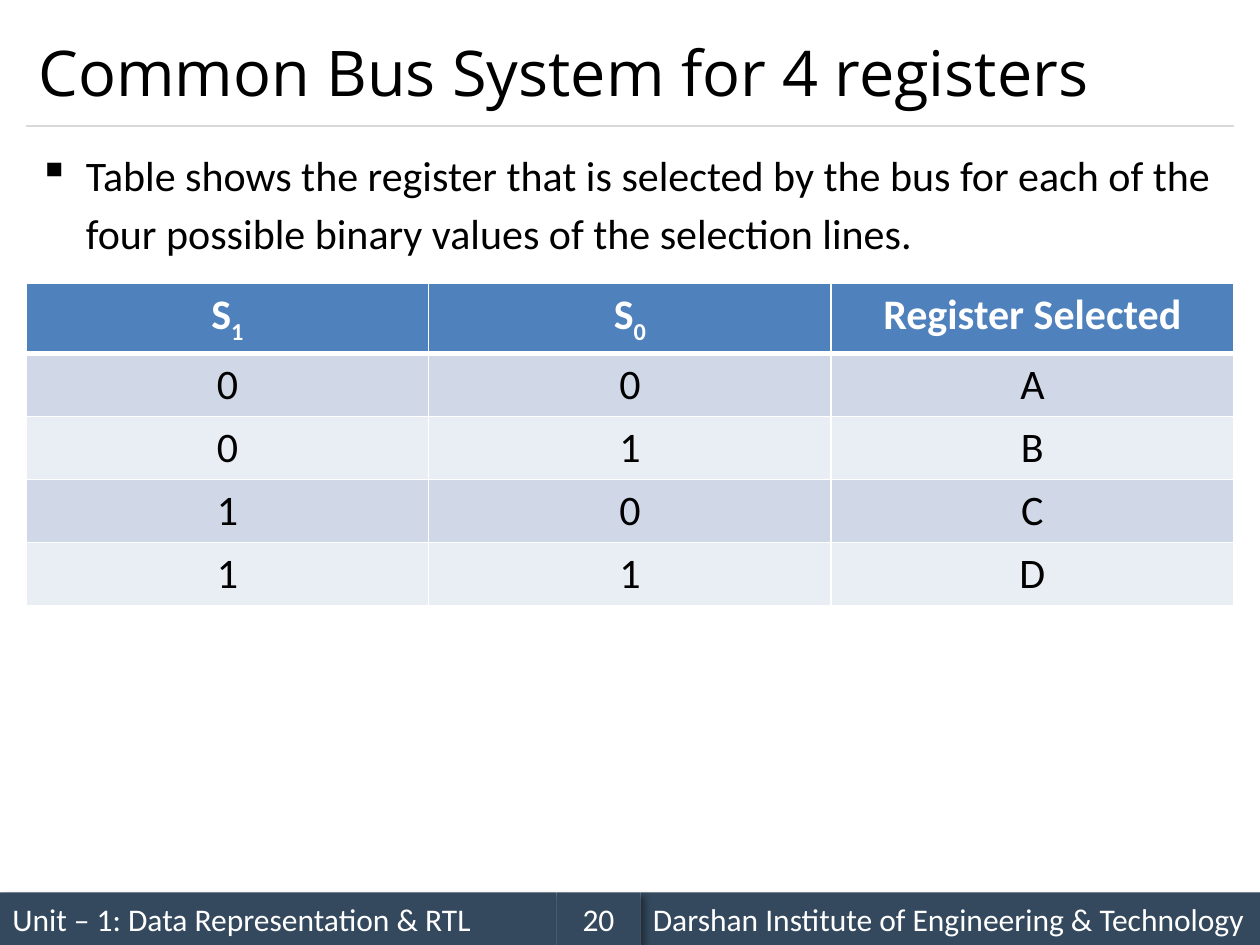
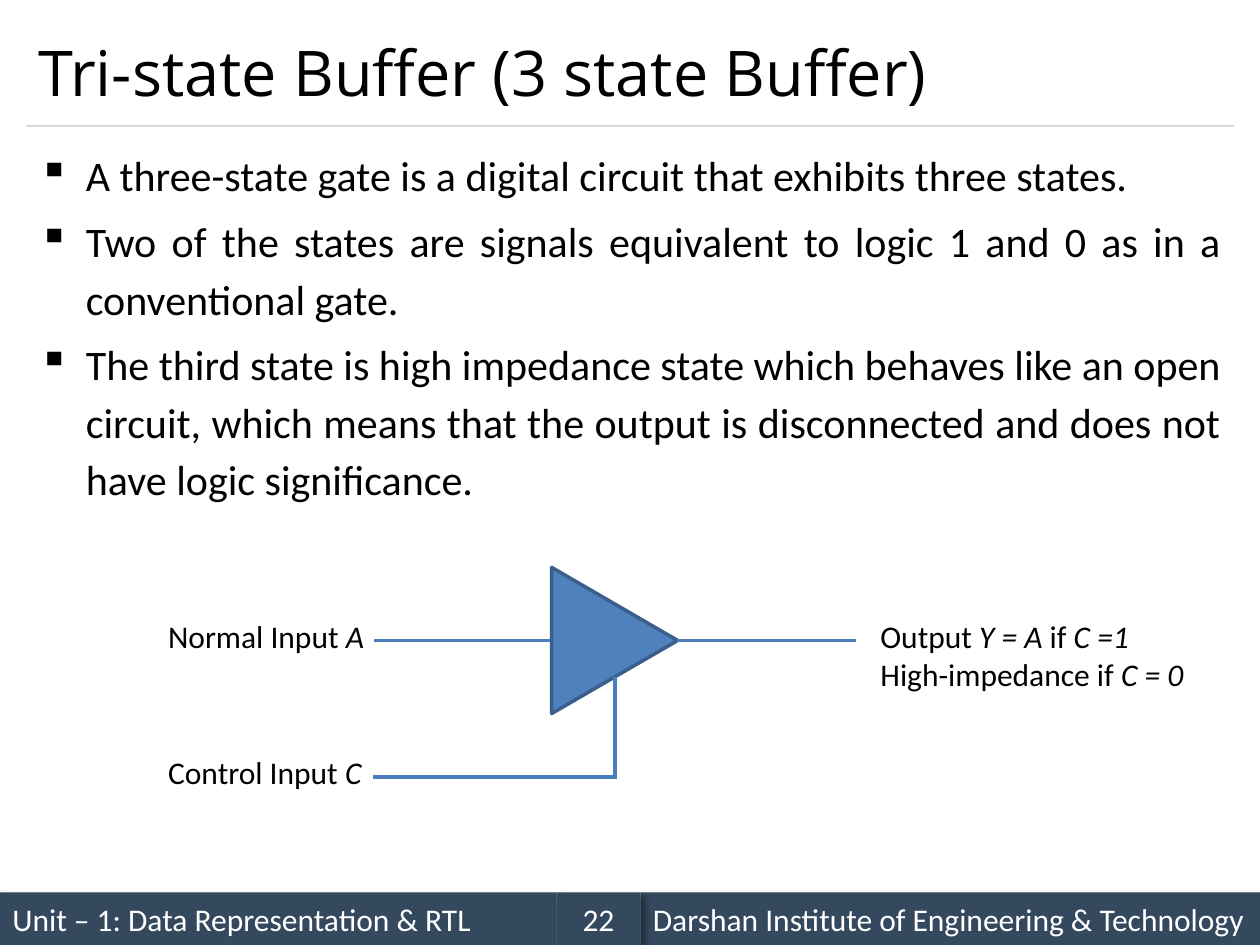
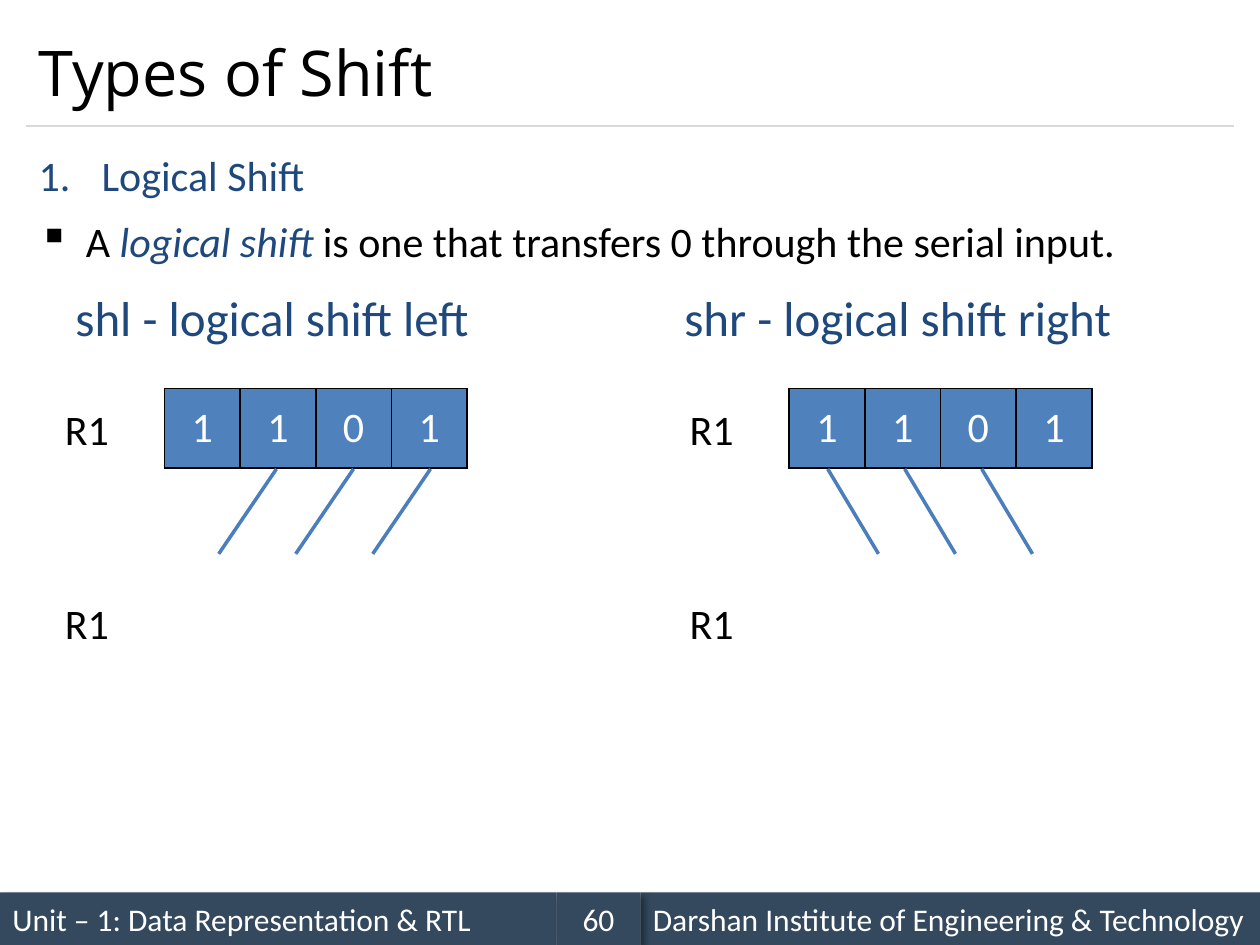
from pptx import Presentation
from pptx.dml.color import RGBColor
from pptx.enum.shapes import MSO_CONNECTOR, MSO_SHAPE
from pptx.enum.text import MSO_ANCHOR, PP_ALIGN
from pptx.oxml.ns import qn
from pptx.util import Pt
from lxml import etree

LEFT, MID, JUST = PP_ALIGN.LEFT, PP_ALIGN.CENTER, PP_ALIGN.JUSTIFY
TOP, CENTRE = MSO_ANCHOR.TOP, MSO_ANCHOR.MIDDLE
RECT, WEDGE = MSO_SHAPE.RECTANGLE, MSO_SHAPE.ISOSCELES_TRIANGLE
STRAIGHT = MSO_CONNECTOR.STRAIGHT

HEX = {
    "white": "FFFFFF", "black": "000000", "navy": "1F497D",
    "slate": "34495E", "rule": "D9D9D9", "blue": "4F81BD",
    "edge": "3A5F8C", "wire": "4B7EBC", "dark": "D0D8E8", "pale": "E9EDF4",
}
EDGE, WIDE = 15, 690  # left edge and width of the content


# Basic helpers
def tint(name):
    return RGBColor.from_string(HEX[name])


def style(item, **values):
    for key, value in values.items():
        setattr(item, key, value)


def child(node, tag, **attrs):
    return etree.SubElement(node, qn(tag), {k: str(v) for k, v in attrs.items()})


def paint(item, name):
    item.fill.solid()
    item.fill.fore_color.rgb = tint(name)


def write(par, parts, size, color="black", face="Calibri", bold=False):
    """Add runs; a part is text or (text, format values)."""
    for part in [parts] if isinstance(parts, str) else parts:
        text, extra = (part, {}) if isinstance(part, str) else part
        extra = dict(extra)
        shade = extra.pop("color", color)
        base = extra.pop("base", 0)
        run = par.add_run()
        run.text = text
        style(run.font, name=face, size=Pt(size), bold=bold, **extra)
        run.font.color.rgb = tint(shade)
        if base:
            run.font._element.set("baseline", str(base * 1000))


# Kinds of element
def box(slide, x, y, w, h, lines, size, color="black", face="Calibri",
        anchor=TOP, wrap=False):
    frame = slide.shapes.add_textbox(Pt(x), Pt(y), Pt(w), Pt(h)).text_frame
    style(frame, word_wrap=wrap, vertical_anchor=anchor)
    for i, line in enumerate(lines):
        par = frame.add_paragraph() if i else frame.paragraphs[0]
        write(par, line, size, color, face)


def wire(slide, x1, y1, x2, y2, color="wire", width=2):
    line = slide.shapes.add_connector(STRAIGHT, Pt(x1), Pt(y1), Pt(x2), Pt(y2))
    line.line.color.rgb = tint(color)
    line.line.width = Pt(width)
    child(line._element.spPr, "a:effectLst")


def band(slide, x, w, text, align=LEFT):
    shape = slide.shapes.add_shape(RECT, Pt(x), Pt(510), Pt(w), Pt(30))
    paint(shape, "slate")
    shape.line.fill.background()
    effects = child(shape._element.spPr, "a:effectLst")
    shadow = child(effects, "a:outerShdw", blurRad=Pt(4), dist=Pt(3),
                   dir=45 * 60000, algn="tl", rotWithShape=0)
    child(child(shadow, "a:srgbClr", val=HEX["black"]), "a:alpha", val=40000)
    style(shape.text_frame, word_wrap=True, vertical_anchor=CENTRE)
    par = shape.text_frame.paragraphs[0]
    par.alignment = align
    write(par, text, 18, "white")


def body(slide, height, items, align=JUST):
    """Add a list; an item is (parts, numbered, colour)."""
    frame = slide.shapes.add_textbox(
        Pt(EDGE), Pt(78), Pt(WIDE), Pt(height)).text_frame
    frame.word_wrap = True
    for i, (parts, numbered, color) in enumerate(items):
        par = frame.add_paragraph() if i else frame.paragraphs[0]
        style(par, alignment=align, line_spacing=1.14,
              space_before=Pt(4.8 if i else 0))
        props = par._p.get_or_add_pPr()
        indent = Pt(36 if numbered else 27)
        props.set("marL", str(indent))
        props.set("indent", str(-indent))
        if numbered:
            child(props, "a:buAutoNum", type="arabicPeriod")
        else:
            child(props, "a:buChar", char="▪")
        write(par, parts, 24, color)


def border(cell, color, **widths):
    props = cell._tc.get_or_add_tcPr()
    for side in "LRTB":
        line = child(props, "a:ln" + side, w=Pt(widths.get(side, 1)))
        child(child(line, "a:solidFill"), "a:srgbClr", val=HEX[color])


def grid(slide, x, y, w, h, rows):
    table = slide.shapes.add_table(
        len(rows), len(rows[0]), Pt(x), Pt(y), Pt(w), Pt(h)).table
    style(table, first_row=False, horz_banding=False)
    return table


def fill(cell, parts, back, color, anchor=TOP, bold=False):
    paint(cell, back)
    cell.vertical_anchor = anchor
    par = cell.text_frame.paragraphs[0]
    par.alignment = MID
    write(par, parts, 24, color, bold=bold)


def truth(slide, rows):
    """Add a table with a bold header and banded rows."""
    table = grid(slide, EDGE, 162, WIDE, 36 * len(rows), rows)
    for r, row in enumerate(rows):
        back = ("dark", "pale")[(r - 1) % 2] if r else "blue"
        for c, parts in enumerate(row):
            cell = table.cell(r, c)
            border(cell, "white", T=3 if r == 1 else 1, B=1 if r else 3)
            fill(cell, parts, back, "black" if r else "white", bold=not r)


def shift(slide, x, head, inset, bits, start, run):
    """Add a register, its labels and the shift lines below it."""
    table = grid(slide, x, 222, 173, 45.5, [bits])
    for c, bit in enumerate(bits):
        cell = table.cell(0, c)
        border(cell, "black")
        fill(cell, bit, "blue", "white", CENTRE)
    for y in (227, 338):
        box(slide, x - 64, y, 40, 36, ["R1"], 24)
    for i in range(len(bits) - 1):
        left = x + start + 44 * i
        wire(slide, left, 268, left + run, 316.5)
    box(slide, x - inset, 161, 243 if run < 0 else 261, 41, [head], 28, "navy")


def page(deck, title, number):
    """Add a slide with title, rule and footer bands."""
    slide = deck.slides.add_slide(deck.slide_layouts[6])
    band(slide, 0, 318, "Unit – 1: Data Representation & RTL")
    wire(slide, EDGE, 72, EDGE + WIDE, 72, "rule", 0.75)
    band(slide, 366, 354, "Darshan Institute of Engineering & Technology")
    band(slide, 318, 48, number, MID)
    box(slide, EDGE, 9, WIDE, 63, [title], 36, face="Open Sans",
        anchor=CENTRE, wrap=True)
    return slide


# Slides
def bus(deck):
    slide = page(deck, "Common Bus System for 4 registers", "20")
    body(slide, 420, [(
        "Table shows the register that is selected by the bus for each of "
        "the four possible binary values of the selection lines.",
        False, "black")], LEFT)
    low = {"base": -25}
    truth(slide, [
        [["S", ("1", low)], ["S", ("0", low)], "Register Selected"],
        ["0", "0", "A"],
        ["0", "1", "B"],
        ["1", "0", "C"],
        ["1", "1", "D"],
    ])


def buffer(deck):
    slide = page(deck, "Tri-state Buffer (3 state Buffer)", "22")
    points = [
        "A three-state gate is a digital circuit that exhibits three states.",
        "Two of the states are signals equivalent to logic 1 and 0 as in a "
        "conventional gate.",
        "The third state is high impedance state which behaves like an open "
        "circuit, which means that the output is disconnected and does not "
        "have logic significance.",
    ]
    body(slide, 216, [(text, False, "black") for text in points])

    # Gate and its lines
    wire(slide, 214, 366, 315, 366)
    gate = slide.shapes.add_shape(WEDGE, Pt(309.5), Pt(330), Pt(83.5), Pt(72))
    gate.rotation = 90
    gate.shadow.inherit = False
    paint(gate, "blue")
    gate.line.color.rgb = tint("edge")
    gate.line.width = Pt(2)
    wire(slide, 387, 366, 489, 366)
    wire(slide, 213, 444, 352.5, 444)
    wire(slide, 351.5, 387, 351.5, 444)

    # Labels
    slant = {"italic": True}
    box(slide, 89, 349, 127, 29, [["Normal Input ", ("A", slant)]], 18)
    box(slide, 89, 427, 127, 29, [["Control Input ", ("C", slant)]], 18)
    box(slide, 496, 349, 209, 51, [
        ["Output ", ("Y = A", slant), " if ", ("C =1", slant)],
        ["High-impedance if ", ("C = 0", slant)],
    ], 18, wrap=True)


def shifts(deck):
    slide = page(deck, "Types of Shift", "60")
    term = ("logical shift", {"color": "navy", "italic": True})
    body(slide, 86, [
        ("Logical Shift", True, "navy"),
        (["A ", term, " is one that transfers 0 through the serial input."],
         False, "black"),
    ])
    bits = "1101"
    shift(slide, 94, "shl - logical shift left", 58, bits, 64, -33)
    shift(slide, 451, "shr - logical shift right", 67, bits, 22, 29)


def main():
    deck = Presentation()
    style(deck, slide_width=Pt(720), slide_height=Pt(540))
    for build in (bus, buffer, shifts):
        build(deck)
    deck.save("out.pptx")


if __name__ == "__main__":
    main()
